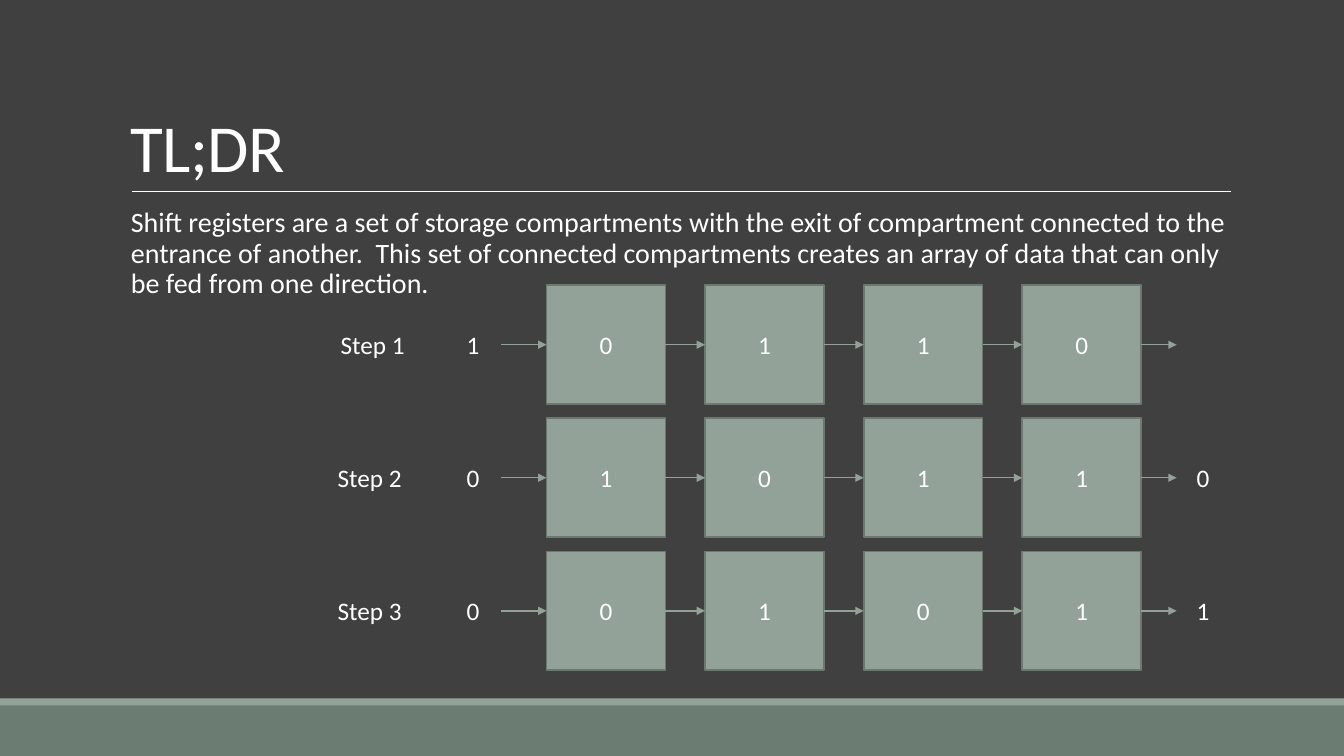
import pptx
import pptx.util
import pptx.dml.color
import pptx.enum.shapes
import pptx.enum.text
import pptx.oxml.ns
from lxml import etree
from pptx.util import Inches

COLORS = {name: pptx.dml.color.RGBColor.from_string(value) for name, value in {
    "background": "404040",
    "footer": "6B7D72",
    "sage": "93A299",
    "box_line": "6D7871",
    "white": "FFFFFF",
}.items()}
RECT = pptx.enum.shapes.MSO_SHAPE.RECTANGLE
ANCHOR = pptx.enum.text.MSO_ANCHOR


def write(sp, text, size=18):
    """Put white Calibri text into a shape and return its text frame."""
    tf = sp.text_frame
    tf.word_wrap = True
    tf.text = text
    font = tf.paragraphs[0].runs[0].font
    font.name = "Calibri"
    font.size = pptx.util.Pt(size)
    font.color.rgb = COLORS["white"]
    return tf


def draw_line(x1, x2, y, color, width):
    """Draw a horizontal line without shadow and return its a:ln element."""
    cn = s.shapes.add_connector(
        pptx.enum.shapes.MSO_CONNECTOR.STRAIGHT,
        Inches(x1), Inches(y), Inches(x2), Inches(y))
    cn.line.color.rgb = COLORS[color]
    cn.line.width = pptx.util.Pt(width)
    ln = cn.line._get_or_add_ln()
    etree.SubElement(cn._element.spPr, pptx.oxml.ns.qn("a:effectLst"))
    return ln


prs = pptx.Presentation()
prs.slide_width = Inches(13.33)
prs.slide_height = Inches(7.5)
s = prs.slides.add_slide(prs.slide_layouts[6])
s.background.fill.solid()
s.background.fill.fore_color.rgb = COLORS["background"]

# Footer bands and title rule
for top, height, color in [(7, 0.5, "footer"), (6.93, 0.07, "sage")]:
    band = s.shapes.add_shape(RECT, 0, Inches(top), prs.slide_width, Inches(height))
    band.shadow.inherit = False
    band.fill.solid()
    band.fill.fore_color.rgb = COLORS[color]
    band.line.fill.background()
draw_line(1.31, 12.21, 1.9, "white", 0.5)

# Title and explanation
title = s.shapes.add_textbox(Inches(1.2), Inches(0.31), Inches(11), Inches(1.59))
tf = write(title, "TL;DR", 48)
tf.vertical_anchor = ANCHOR.BOTTOM
p = tf.paragraphs[0]
p.line_spacing = 0.85
p.runs[0].font._element.set("spc", "-50")

body = s.shapes.add_textbox(Inches(1.2), Inches(2.02), Inches(11), Inches(1.61))
tf = write(body, "Shift registers are a set of storage compartments with the exit of "
           "compartment connected to the entrance of another.  This set of connected "
           "compartments creates an array of data that can only be fed from one direction.", 20)
tf.margin_left = Inches(0.1)
tf.margin_right = 0
p = tf.paragraphs[0]
p.line_spacing = 0.9
p.space_before = pptx.util.Pt(12)
p.space_after = pptx.util.Pt(2)

# Shift register: label, label left edge, bit going in, stored bits, bit coming out
STEPS = [
    ("Step 1", 3.28, "1", "0110", ""),
    ("Step 2", 3.25, "0", "1011", "0"),
    ("Step 3", 3.25, "0", "0101", "1"),
]
BOX = 1.18
BOX_LEFTS = [5.42 + 1.573 * i for i in range(4)]
ARROW_STARTS = [4.97] + [left + BOX for left in BOX_LEFTS]
ARROW_ENDS = BOX_LEFTS + [11.67]

for row, (label, label_left, bit_in, bits, bit_out) in enumerate(STEPS):
    top = 2.83 + 1.32 * row
    middle = top + BOX / 2

    for left, bit in zip(BOX_LEFTS, bits):
        sp = s.shapes.add_shape(RECT, Inches(left), Inches(top), Inches(BOX), Inches(BOX))
        sp.shadow.inherit = False
        sp.fill.solid()
        sp.fill.fore_color.rgb = COLORS["sage"]
        sp.line.color.rgb = COLORS["box_line"]
        sp.line.width = pptx.util.Pt(1.25)
        tf = write(sp, bit)
        tf.vertical_anchor = ANCHOR.MIDDLE
        tf.paragraphs[0].alignment = pptx.enum.text.PP_ALIGN.CENTER

    for start, end in zip(ARROW_STARTS, ARROW_ENDS):
        ln = draw_line(start, end, middle, "sage", 1)
        etree.SubElement(ln, pptx.oxml.ns.qn("a:tailEnd"), type="triangle")

    for text, left, width in [(label, label_left, 1.28), (bit_in, 4.53, 0.34),
                              (bit_out, 11.77, 0.34)]:
        if text:
            write(s.shapes.add_textbox(Inches(left), Inches(middle - 0.2),
                                       Inches(width), Inches(0.4)), text)

prs.save("out.pptx")
